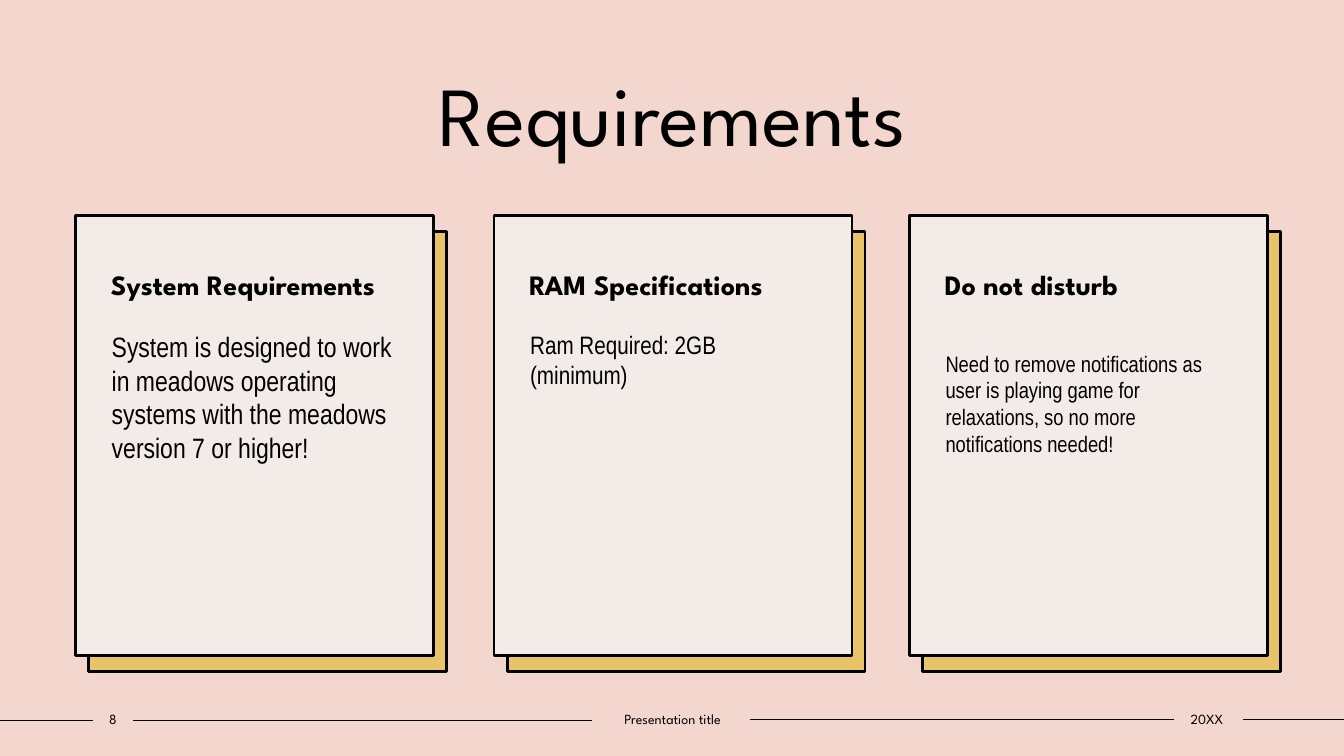
from dataclasses import dataclass

from lxml import etree
from pptx import Presentation
from pptx.dml.color import RGBColor
from pptx.enum import shapes, text
from pptx.oxml import ns
from pptx.shapes.base import BaseShape
from pptx.slide import Slide
from pptx.util import Inches, Pt

BLACK = RGBColor(0x00, 0x00, 0x00)
PINK = RGBColor(0xF3, 0xD6, 0xCD)
GOLD = RGBColor(0xE9, 0xC3, 0x69)
CREAM = RGBColor(0xF3, 0xEB, 0xE8)

HEADING_FONT = "League Spartan"
BODY_FONT = "Arial Narrow"

CARD_TOP, CARD_WIDTH, CARD_HEIGHT = 2.14, 3.55, 4.36
BACKING_DX, BACKING_DY = 0.13, 0.16
BODY_DX, BODY_WIDTH, BODY_BOTTOM = 0.26, 3, 6.27
FOOTER_TOP, FOOTER_HEIGHT = 7, 0.27


@dataclass(frozen=True)
class Card:
    left: float
    heading: str
    body: str
    body_top: float
    body_size: int


@dataclass(frozen=True)
class FooterLabel:
    left: float
    width: float
    caption: str


@dataclass(frozen=True)
class Rule:
    start: float
    end: float
    y: float


CARDS = [
    Card(0.75, "System Requirements",
         "System is designed to work in meadows operating systems "
         "with the meadows version 7 or higher!", 3.22, 20),
    Card(4.9, "RAM Specifications", "Ram Required: 2GB (minimum)", 3.22, 18),
    Card(9.02, "Do not disturb",
         "Need to remove notifications as user is playing game for "
         "relaxations, so no more notifications needed!", 3.42, 16),
]
FOOTER_LABELS = [
    FooterLabel(0.92, 0.4, "8"),
    FooterLabel(5.87, 1.6, "Presentation title"),
    FooterLabel(11.62, 0.7, "20XX"),
]
FOOTER_RULES = [
    Rule(0, 0.92, 7.15),
    Rule(1.32, 5.87, 7.15),
    Rule(7.44, 11.64, 7.14),
    Rule(12.33, 13.33, 7.14),
]


def write(holder: BaseShape, words: str, *, size: float, font: str = HEADING_FONT,
          bold: bool = False, align: text.PP_ALIGN = text.PP_ALIGN.LEFT,
          anchor: text.MSO_ANCHOR = text.MSO_ANCHOR.TOP,
          insets: tuple[float, float, float, float] = (0.1, 0.05, 0.1, 0.05),
          line_spacing: float = 1.0, space_before: float = 0) -> None:
    """Fill a shape with one formatted paragraph; insets run left, top, right, bottom."""
    frame = holder.text_frame
    frame.word_wrap = True
    frame.vertical_anchor = anchor
    (frame.margin_left, frame.margin_top,
     frame.margin_right, frame.margin_bottom) = map(Inches, insets)
    paragraph = frame.paragraphs[0]
    paragraph.alignment = align
    paragraph.line_spacing = line_spacing
    paragraph.space_before = Pt(space_before)
    run = paragraph.add_run()
    run.text = words
    run.font.name = font
    run.font.size = Pt(size)
    run.font.bold = bold
    run.font.color.rgb = BLACK


def add_text(slide: Slide, left: float, top: float, width: float, height: float,
             words: str, **text_format) -> None:
    box = slide.shapes.add_textbox(*map(Inches, (left, top, width, height)))
    write(box, words, **text_format)


def add_panel(slide: Slide, left: float, top: float, fill: RGBColor) -> BaseShape:
    panel = slide.shapes.add_shape(
        shapes.MSO_SHAPE.RECTANGLE,
        *map(Inches, (left, top, CARD_WIDTH, CARD_HEIGHT)))
    panel.shadow.inherit = False
    panel.fill.solid()
    panel.fill.fore_color.rgb = fill
    panel.line.color.rgb = BLACK
    panel.line.width = Pt(2)
    return panel


def add_card(slide: Slide, card: Card) -> None:
    add_panel(slide, card.left + BACKING_DX, CARD_TOP + BACKING_DY, GOLD)
    front = add_panel(slide, card.left, CARD_TOP, CREAM)
    write(front, card.heading, size=20, bold=True, insets=(0.35, 0.55, 0.1, 0.05),
          line_spacing=0.9, space_before=10)
    add_text(slide, card.left + BODY_DX, card.body_top, BODY_WIDTH,
             BODY_BOTTOM - card.body_top, card.body,
             size=card.body_size, font=BODY_FONT)


def add_rule(slide: Slide, rule: Rule) -> None:
    line = slide.shapes.add_connector(
        shapes.MSO_CONNECTOR.STRAIGHT,
        *map(Inches, (rule.start, rule.y, rule.end, rule.y)))
    line.line.color.rgb = BLACK
    line.line.width = Pt(1)
    etree.SubElement(line._element.spPr, ns.qn("a:effectLst"))


def add_footer_label(slide: Slide, label: FooterLabel) -> None:
    add_text(slide, label.left, FOOTER_TOP, label.width, FOOTER_HEIGHT, label.caption,
             size=10, align=text.PP_ALIGN.CENTER, anchor=text.MSO_ANCHOR.MIDDLE,
             insets=(0, 0.05, 0, 0.05))


def main() -> None:
    deck = Presentation()
    deck.slide_width, deck.slide_height = Inches(13.33), Inches(7.5)
    slide = deck.slides.add_slide(deck.slide_layouts[6])
    slide.background.fill.solid()
    slide.background.fill.fore_color.rgb = PINK

    # Title
    add_text(slide, 1.25, 0.56, 10.84, 1.11, "Requirements", size=60,
             align=text.PP_ALIGN.CENTER, anchor=text.MSO_ANCHOR.BOTTOM)

    # Requirement cards
    for card in CARDS:
        add_card(slide, card)

    # Footer
    for rule in FOOTER_RULES:
        add_rule(slide, rule)
    for label in FOOTER_LABELS:
        add_footer_label(slide, label)

    deck.save("out.pptx")


if __name__ == "__main__":
    main()
